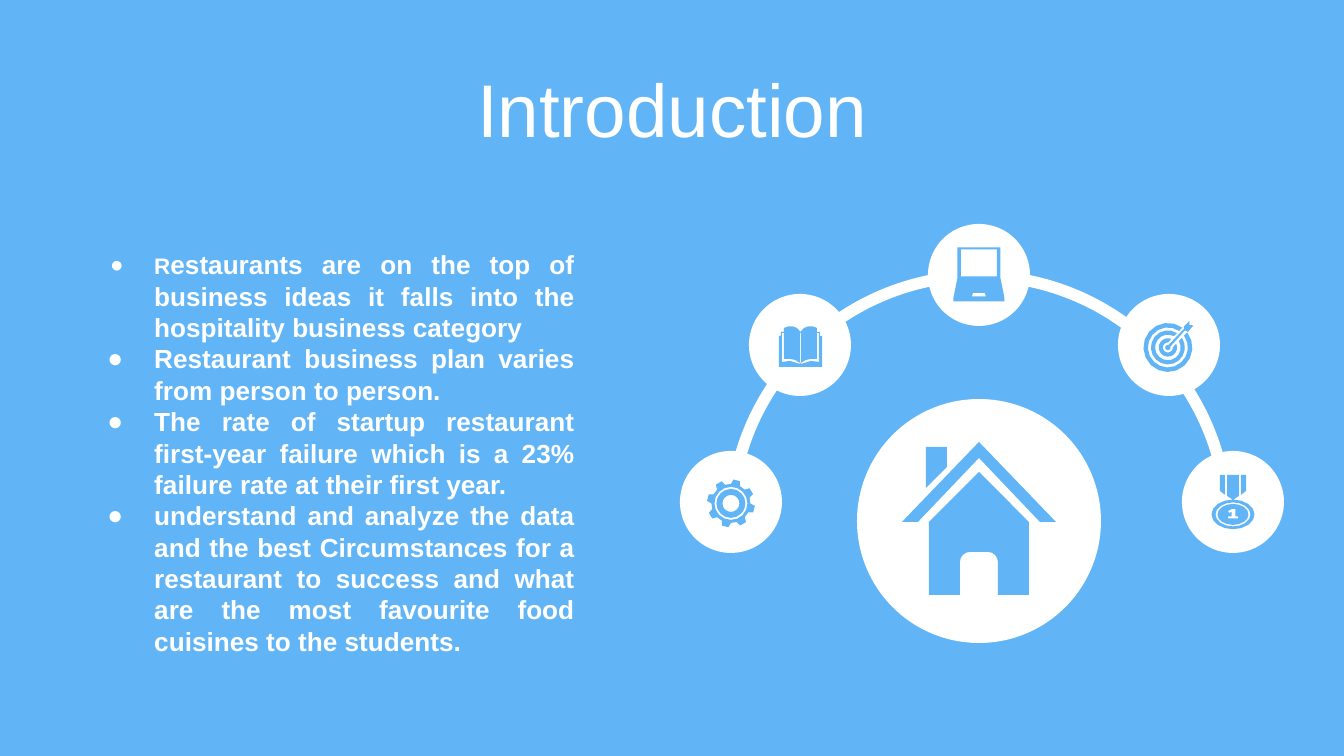
from math import asin, cos, degrees, radians, sin

from lxml import etree
from pptx import Presentation
from pptx.dml.color import RGBColor
from pptx.enum.shapes import MSO_SHAPE
from pptx.enum.text import MSO_ANCHOR, MSO_AUTO_SIZE, PP_ALIGN
from pptx.oxml.ns import qn
from pptx.util import Pt

OVAL, BLOCK_ARC = MSO_SHAPE.OVAL, MSO_SHAPE.BLOCK_ARC
MIDDLE, NO_FIT = MSO_ANCHOR.MIDDLE, MSO_AUTO_SIZE.NONE
CENTER, JUSTIFY = PP_ALIGN.CENTER, PP_ALIGN.JUSTIFY
BLUE = RGBColor(0x61, 0xB4, 0xF6)
WHITE = RGBColor(0xFF, 0xFF, 0xFF)
FONT = "Arial"
EMU_PER_PIXEL = 914400 / 134.4
NODE_SIZE = 102
NODES = [(1118, 294), (928, 224), (749, 294), (680, 451), (1182, 451)]

# Each point: hanging indent, then (text, size) spans
POINTS = [
    (-44, [("R", 12), ("estaurants are on the top of business ideas it falls "
                       "into the hospitality business category", 14)]),
    (-47, [("Restaurant business plan varies from person to person.", 14)]),
    (-47, [("The rate of startup restaurant first-year failure which is a 23% "
            "failure rate at their first year.", 14)]),
    (-47, [("understand and analyze the data and the best Circumstances for a "
            "restaurant to success and what are the most favourite food "
            "cuisines to the students.", 14)]),
]


def px(value):
    return round(value * EMU_PER_PIXEL)


def place(shape, left, top, width, height):
    shape.left, shape.top = px(left), px(top)
    shape.width, shape.height = px(width), px(height)


def paint(shape, color):
    shape.shadow.inherit = False
    shape.fill.solid()
    shape.fill.fore_color.rgb = color
    shape.line.fill.background()


def style(span, size, bold=False):
    span.font.name = FONT
    span.font.size = Pt(size)
    span.font.bold = bold
    span.font.color.rgb = WHITE


def add_preset(page, kind, left, top, size):
    shape = page.shapes.add_shape(kind, px(left), px(top), px(size), px(size))
    paint(shape, WHITE)
    return shape


def add_icon(page, contours):
    """Draw contours as one shape; nested contours become holes."""
    builder = None
    for contour in contours:
        points = [(px(x), px(y)) for x, y in contour]
        if builder is None:
            builder = page.shapes.build_freeform(*points[0], scale=1.0)
        else:
            builder.move_to(*points[0])
        builder.add_line_segments(points[1:], close=True)
    paint(builder.convert_to_shape(), BLUE)


# Contour helpers
def arc(center, rx, ry, start=0, end=360, steps=16):
    angles = [radians(start + (end - start) * i / steps) for i in range(steps + 1)]
    return [(center[0] + rx * cos(a), center[1] + ry * sin(a)) for a in angles]


def circle(center, radius):
    return arc(center, radius, radius)[:-1]


def open_ring(center, outer, inner, direction, half_gap):
    def edge(radius):
        turn = degrees(asin(half_gap / radius))
        return arc(center, radius, radius, direction + turn, direction + 360 - turn)
    return edge(outer) + edge(inner)[::-1]


def mirror(points, axis):
    return [(2 * axis - x, y) for x, y in reversed(points)]


# Icons
def gear():
    center, body = (731, 503.5), []
    for tooth in range(8):
        middle = 45 * tooth - 76
        for turn, radius in ((-14, 19.5), (-8, 24), (8, 24), (14, 19.5)):
            body += arc(center, radius, radius, middle + turn, middle + turn, 1)[:1]
    return [body] + [circle(center, radius) for radius in (16.5, 14.5, 8.5)]


def book():
    axis = 800.5
    cover = [(axis, 367), (779, 367), (779, 336), (781, 336), (781, 332),
             (784, 332), (784, 328), (788, 326.5), (793, 326.5), (797, 328), (axis, 332)]
    slit = [(782, 333), (782, 362), (790, 361), (800, 364), (800, 363),
            (795, 360), (790, 359), (784, 359), (784, 333)]
    spine = [(800, 333), (801, 333), (801, 363), (800, 363)]
    return [cover + mirror(cover[1:-1], axis), slit, mirror(slit, axis), spine]


def target():
    center = (1168, 347.5)
    rings = [open_ring(center, outer, inner, -46, 3.4)
             for outer, inner in ((24.5, 20), (17, 12.8), (9.2, 5))]
    arrow = [(1184, 329), (1184, 326.5), (1189.5, 321), (1189.5, 325),
             (1193.5, 325.5), (1188, 332), (1185, 330.5)]
    return rings + [arrow + arc(center, 2.7, 2.7, -20, 285, 8)]


def house():
    axis = 979
    roof = [(axis, 442), (902, 522), (918, 522), (axis, 458)]
    wall = [(axis, 472), (929, 522), (929, 595), (960, 595)]
    wall += arc((970, 562), 10, 10, 180, 270, 4)
    chimney = [(926, 447), (947, 447), (947, 467), (926, 488)]
    return [half + mirror(half, axis) for half in (roof, wall)] + [chimney]


def laptop():
    axis = 979
    halves = [[(957.5, 247.5), (957.5, 278), (953.5, 298), (953.5, 301.5)],
              [(961, 249.5), (961, 276.5)],
              [(973, 293), (972, 296.5)]]
    return [half + mirror(half, axis) for half in halves]


def medal():
    center = (1233, 514.5)
    rims = [arc(center, rx, ry)[:-1]
            for rx, ry in ((21.5, 14.8), (17.5, 12), (15.5, 10.5))]
    digit = [(1235.5, 509), (1232, 509), (1228, 511), (1229, 513), (1231.5, 512),
             (1231.5, 516.5), (1228, 516.5), (1228, 518.5), (1238, 518.5),
             (1238, 516.5), (1235.5, 516.5)]
    side = [(1220, 475), (1225, 475), (1225, 495), (1220, 491)]
    ribbon = [(1227, 475), (1239, 475), (1239, 496), (1233, 500), (1227, 496)]
    return rims + [digit, side, ribbon, mirror(side, center[0])]


# Text
def set_title(page, text):
    title = page.shapes.title
    place(title, 0, 65, 1344, 85)
    frame = title.text_frame
    frame.text = text
    frame.auto_size = NO_FIT
    frame.vertical_anchor = MIDDLE
    frame.paragraphs[0].alignment = CENTER
    style(frame.paragraphs[0].runs[0], 40)


def add_bullet(para, indent):
    props = para._p.get_or_add_pPr()
    props.set("marL", str(px(68)))
    props.set("indent", str(px(indent)))
    color = etree.SubElement(props, qn("a:buClr"))
    etree.SubElement(color, qn("a:srgbClr"), val=str(WHITE))
    etree.SubElement(props, qn("a:buFont"), typeface=FONT)
    etree.SubElement(props, qn("a:buChar"), char="●")


def add_points(page):
    box = page.shapes.add_textbox(px(73), px(242), px(515), px(457))
    frame = box.text_frame
    frame.word_wrap = True
    for index, (indent, spans) in enumerate(POINTS):
        para = frame.add_paragraph() if index else frame.paragraphs[0]
        para.alignment = JUSTIFY
        add_bullet(para, indent)
        for text, size in spans:
            span = para.add_run()
            span.text = text
            style(span, size, bold=True)


def main():
    deck = Presentation()
    deck.slide_width, deck.slide_height = px(1344), px(756)
    page = deck.slides.add_slide(deck.slide_layouts[5])
    page.background.fill.solid()
    page.background.fill.fore_color.rgb = BLUE
    set_title(page, "Introduction")
    add_points(page)
    # Hub, arc and nodes
    add_preset(page, OVAL, 857, 399, 244)
    band = add_preset(page, BLOCK_ARC, 725, 270, 508)
    for index, value in enumerate((108, 0.136, 0.023)):
        band.adjustments[index] = value
    for left, top in NODES:
        add_preset(page, OVAL, left, top, NODE_SIZE)
    for icon in (gear, book, target, house, laptop, medal):
        add_icon(page, icon())
    deck.save("out.pptx")


main()
